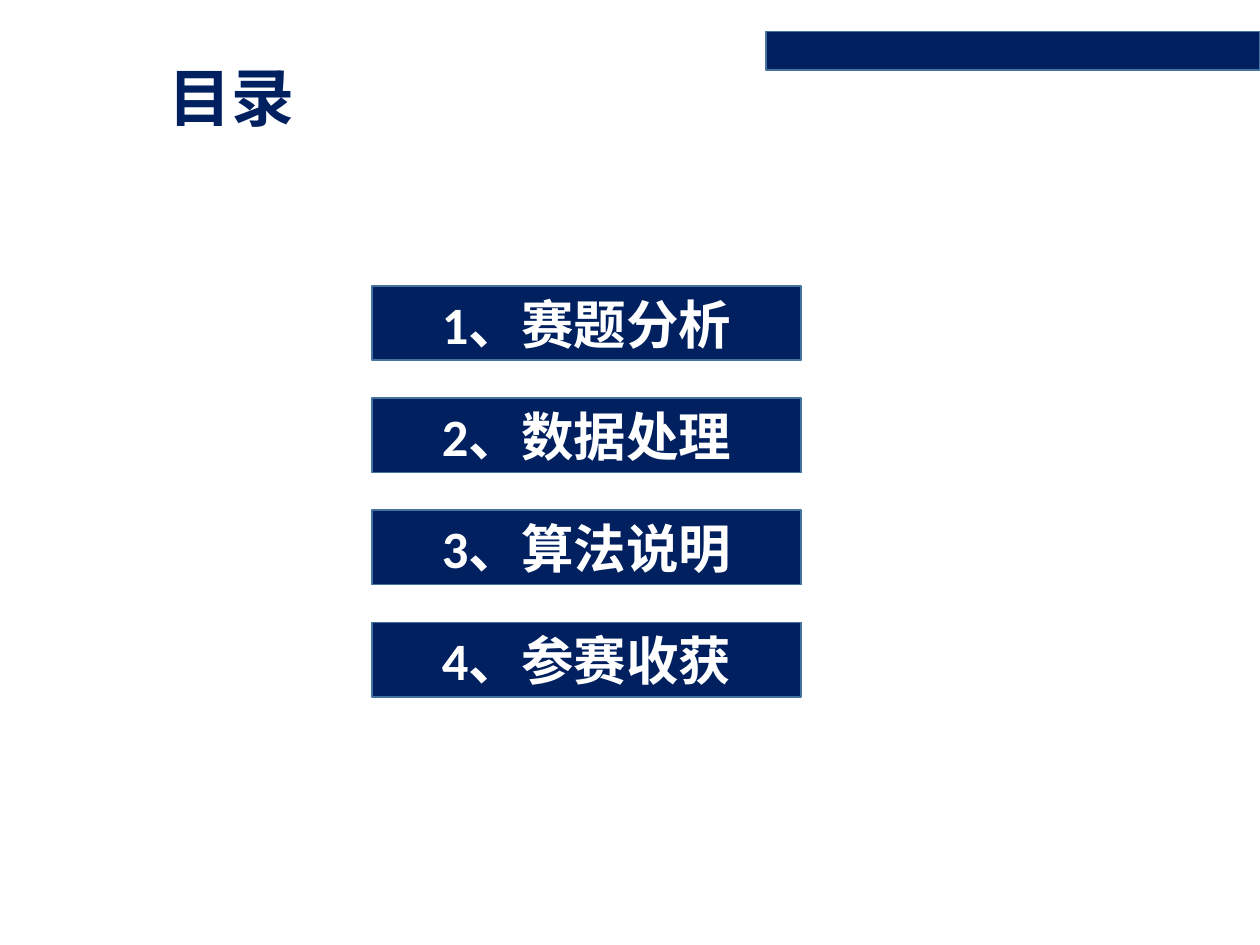
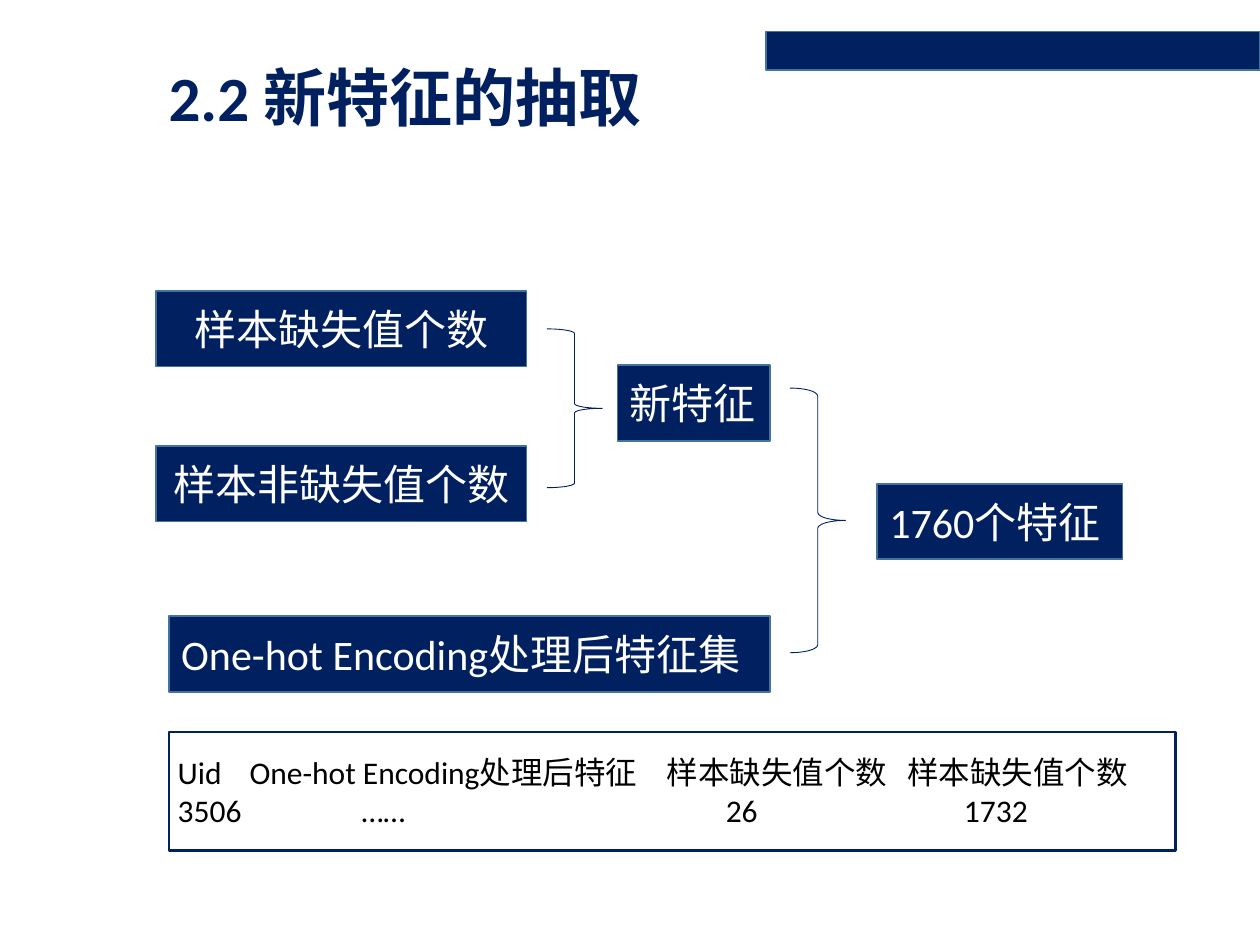
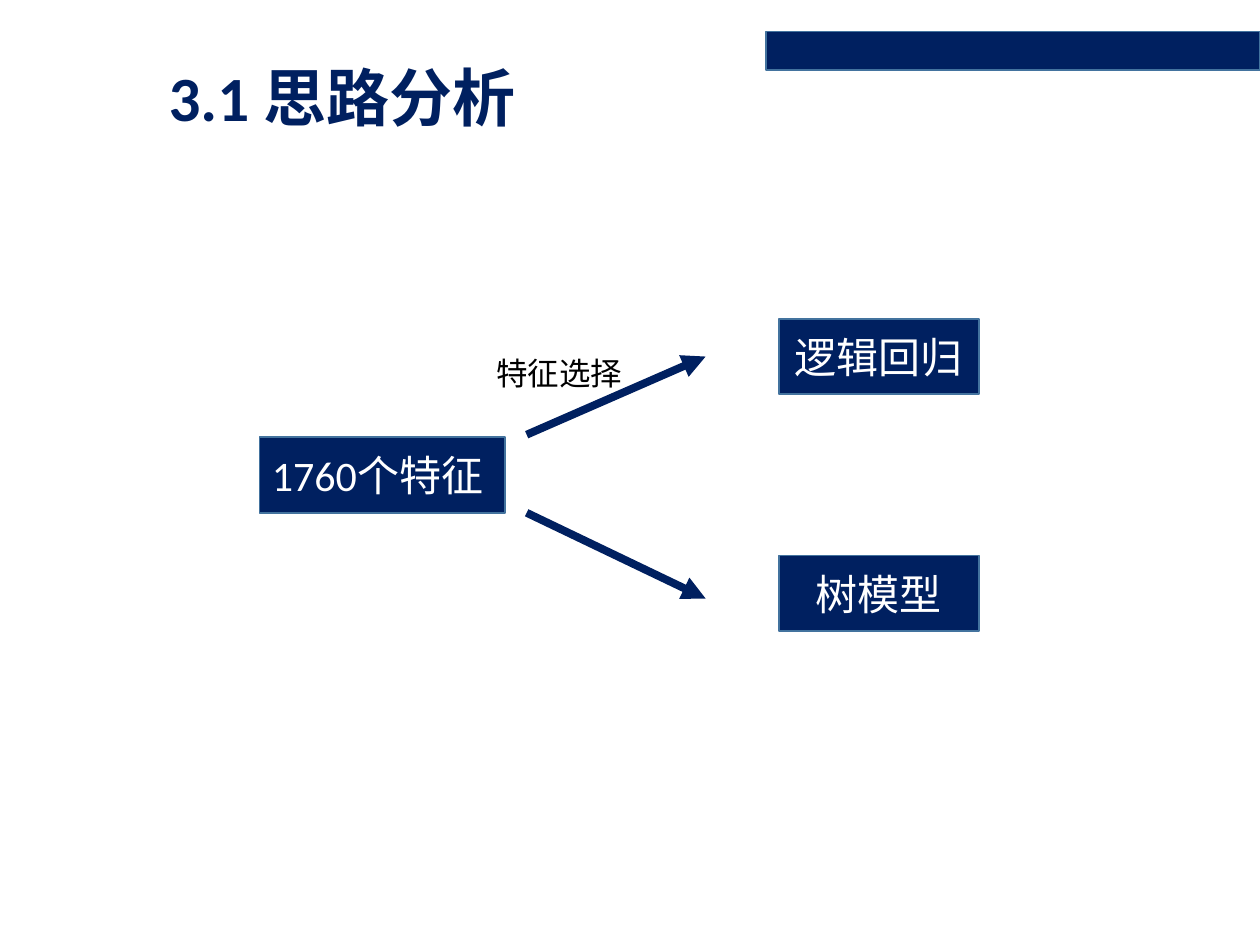
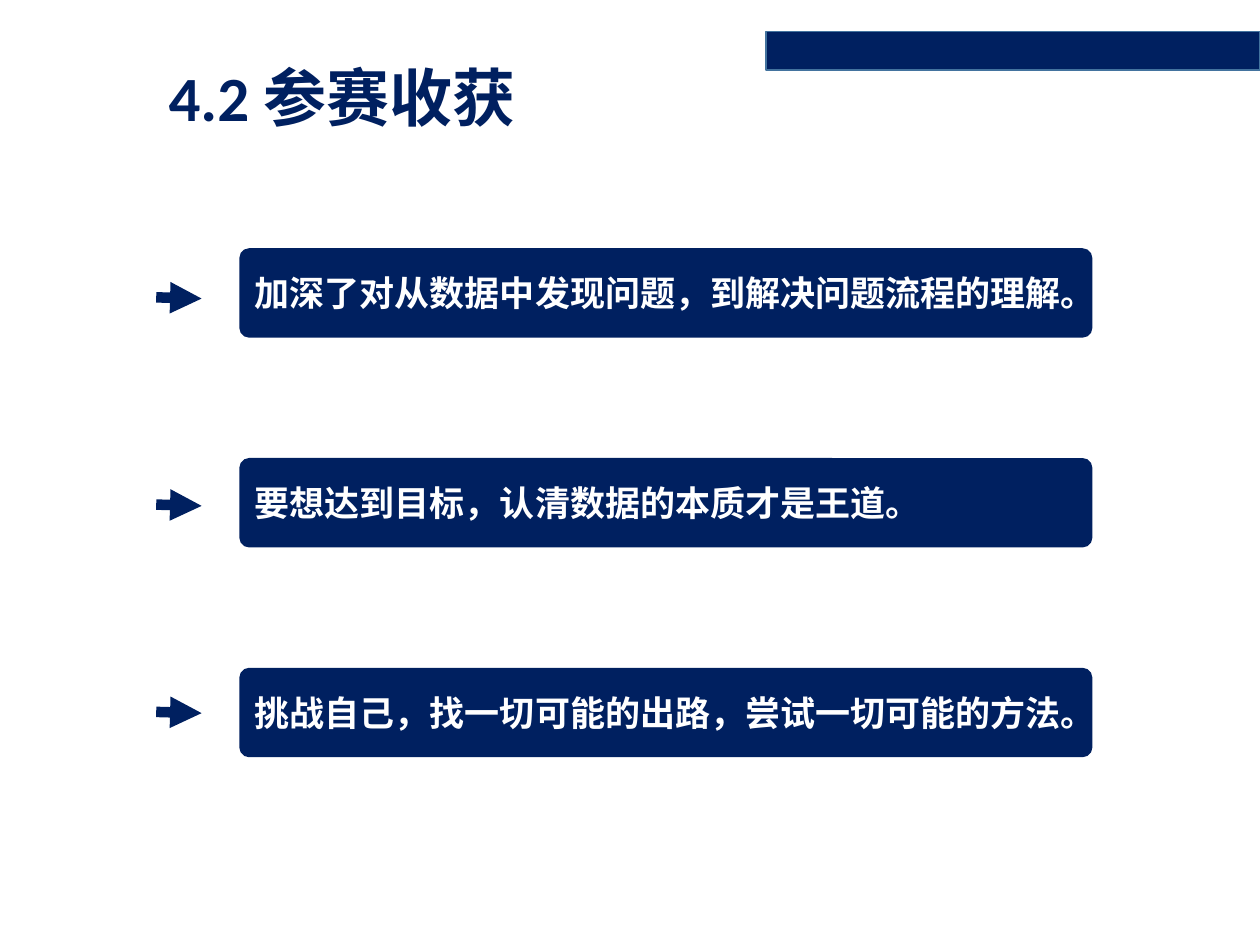
from pptx import Presentation, util as u
from pptx.dml.color import RGBColor
from pptx.enum import shapes as sh, text as tx
from pptx.oxml import parse_xml
from pptx.oxml.ns import qn, nsdecls
from lxml import etree

HUES = {"navy": "002060", "edge": "43739E", "white": "FFFFFF", "black": "000000"}
KIND = sh.MSO_SHAPE
LEFT, MID = tx.PP_ALIGN.LEFT, tx.PP_ALIGN.CENTER

# Grid of 100 columns by 75 rows; a box is (left, top, width, height)
CELL = u.Inches(10) // 100
TITLE = (12.4, 5.05, 46.4, 5.9)
BAND = (60.8, 2.5, 39.2, 3.05)


def hue(name):
    return RGBColor.from_string(HUES[name])


def grid(*nums):
    return [round(n * CELL) for n in nums]


def part(box, x, y, w, h):
    """Place a part at an offset from the corner of its region."""
    return box[0] + x, box[1] + y, w, h


def write(para, words, size, color, bold=False, font="Calibri", align=LEFT):
    para.alignment = align
    run = para.add_run()
    run.text = words
    run.font.size, run.font.bold, run.font.name = u.Pt(size), bold, font
    run.font.color.rgb = hue(color)


def form(slide, kind, box, fill="navy", line="edge", width=1):
    item = slide.shapes.add_shape(kind, *grid(*box))
    item.shadow.inherit = False
    item.fill.solid()
    item.fill.fore_color.rgb = hue(fill)
    if line:
        item.line.color.rgb = hue(line)
        item.line.width = u.Pt(width)
    else:
        item.line.fill.background()
    item.text_frame.vertical_anchor = tx.MSO_ANCHOR.MIDDLE
    return item


def label(slide, box, words, size=24, bold=False, align=MID):
    """Filled box whose words stay on one line."""
    frame = form(slide, KIND.RECTANGLE, box).text_frame
    frame.word_wrap = False
    write(frame.paragraphs[0], words, size, "white", bold, align=align)


def note(slide, box, words, size, color, bold=False, anchor=tx.MSO_ANCHOR.TOP):
    frame = slide.shapes.add_textbox(*grid(*box)).text_frame
    frame.word_wrap = True
    frame.vertical_anchor = anchor
    write(frame.paragraphs[0], words, size, color, bold)
    return frame


def brace(slide, box, curve=0.083):
    item = form(slide, KIND.LEFT_BRACE, box, "white", "navy", 0.5)
    item.adjustments[0] = curve
    item.rotation = 180


def arrow(slide, x, y, dx, dy, width):
    link = slide.shapes.add_connector(sh.MSO_CONNECTOR.STRAIGHT,
                                      *grid(x, y, x + dx, y + dy))
    link.line.color.rgb = hue("navy")
    link.line.width = u.Pt(width)
    etree.SubElement(link.line._get_or_add_ln(), qn("a:tailEnd"), type="triangle")
    etree.SubElement(link._element.spPr, qn("a:effectLst"))


def base(deck, title):
    """Blank slide with the shared band and title."""
    slide = deck.slides.add_slide(deck.slide_layouts[6])
    form(slide, KIND.RECTANGLE, BAND)
    frame = note(slide, TITLE, title, 36, "navy", True, tx.MSO_ANCHOR.MIDDLE)
    frame.paragraphs[0].line_spacing = 0.9
    return slide


def agenda(slide, box, items):
    for i, words in enumerate(items):
        label(slide, part(box, 0, i * 8.9, box[2], 5.9), words, 30, True)


def merge(slide, box):
    """Sources joined by braces into the final feature set."""
    # Sample counts
    for y, words in ((0, "样本缺失值个数"), (12.3, "样本非缺失值个数")):
        label(slide, part(box, 0, y, 29.4, 6), words)
    label(slide, part(box, 1, 25.8, 47.7, 6), "One-hot Encoding处理后特征集", align=LEFT)
    # Joins and results
    brace(slide, part(box, 31, 3, 4.4, 12.6))
    label(slide, part(box, 57.2, 15.3, 19.5, 6), "1760个特征", align=LEFT)
    brace(slide, part(box, 50.3, 7.7, 4.4, 21), 0.142)
    label(slide, part(box, 36.6, 5.9, 12.1, 6), "新特征", align=LEFT)


def sample(slide, box, rows):
    """Framed record whose columns sit on tab stops."""
    frame = form(slide, KIND.RECTANGLE, box, "white", "navy", 1.5).text_frame
    frame.margin_left = frame.margin_right = u.Inches(0.07)
    frame.margin_top = frame.margin_bottom = u.Inches(0.04)
    for i, (cells, stops) in enumerate(rows):
        para = frame.add_paragraph() if i else frame.paragraphs[0]
        write(para, "\t".join(cells), 18, "black")
        tabs = "".join(f'<a:tab pos="{pos}" algn="l"/>' for pos in grid(*stops))
        para._p.get_or_add_pPr().append(
            parse_xml(f'<a:tabLst {nsdecls("a")}>{tabs}</a:tabLst>'))


def split(slide, box):
    """One feature set leading to two models."""
    label(slide, part(box, 0, 9.4, 19.5, 6), "1760个特征", align=LEFT)
    for y, dy in ((15.4, 6.8), (9.2, -6.2)):
        arrow(slide, box[0] + 21.2, box[1] + y, 14.2, dy, 4.5)
    for y, words in ((0, "逻辑回归"), (18.8, "树模型")):
        label(slide, part(box, 41.2, y, 15.9, 6), words)
    note(slide, part(box, 17.8, 2.3, 13.6, 4), "特征选择", 18, "black")


def gains(slide, box, items):
    """Rounded cards, each with a pointer."""
    for i, words in enumerate(items):
        card = form(slide, KIND.ROUNDED_RECTANGLE,
                    part(box, 6.6, i * 16.65, box[2] - 6.6, 7.1), line=None)
        card.adjustments[0] = 0.109
        card.text_frame.word_wrap = False
        write(card.text_frame.paragraphs[0], words, 20, "white", True, "Arial")
        arrow(slide, box[0], box[1] + 3.9 + i * 16.45, 3.6, 0.1, 6)


def main():
    deck = Presentation()
    deck.slide_width, deck.slide_height = grid(100, 75)

    agenda(base(deck, "目录"), (29.5, 22.7, 34.1, 32.6),
           ["1、赛题分析", "2、数据处理", "3、算法说明", "4、参赛收获"])

    slide = base(deck, "2.2 新特征的抽取")
    merge(slide, (12.4, 23.1, 76.7, 31.8))
    sample(slide, (13.4, 58.1, 79.9, 9.4), [
        (["Uid", "One-hot Encoding处理后特征", "样本缺失值个数", "样本缺失值个数"],
         [5.7, 38.8, 57.9]),
        (["3506", "……", "26", "1732"], [14.6, 43.5, 62.4]),
    ])

    split(base(deck, "3.1 思路分析"), (20.6, 25.3, 57.1, 24.8))

    gains(base(deck, "4.2 参赛收获"), (12.4, 19.7, 74.3, 40.4), [
        "加深了对从数据中发现问题，到解决问题流程的理解。",
        "要想达到目标，认清数据的本质才是王道。",
        "挑战自己，找一切可能的出路，尝试一切可能的方法。",
    ])
    deck.save("out.pptx")


if __name__ == "__main__":
    main()
